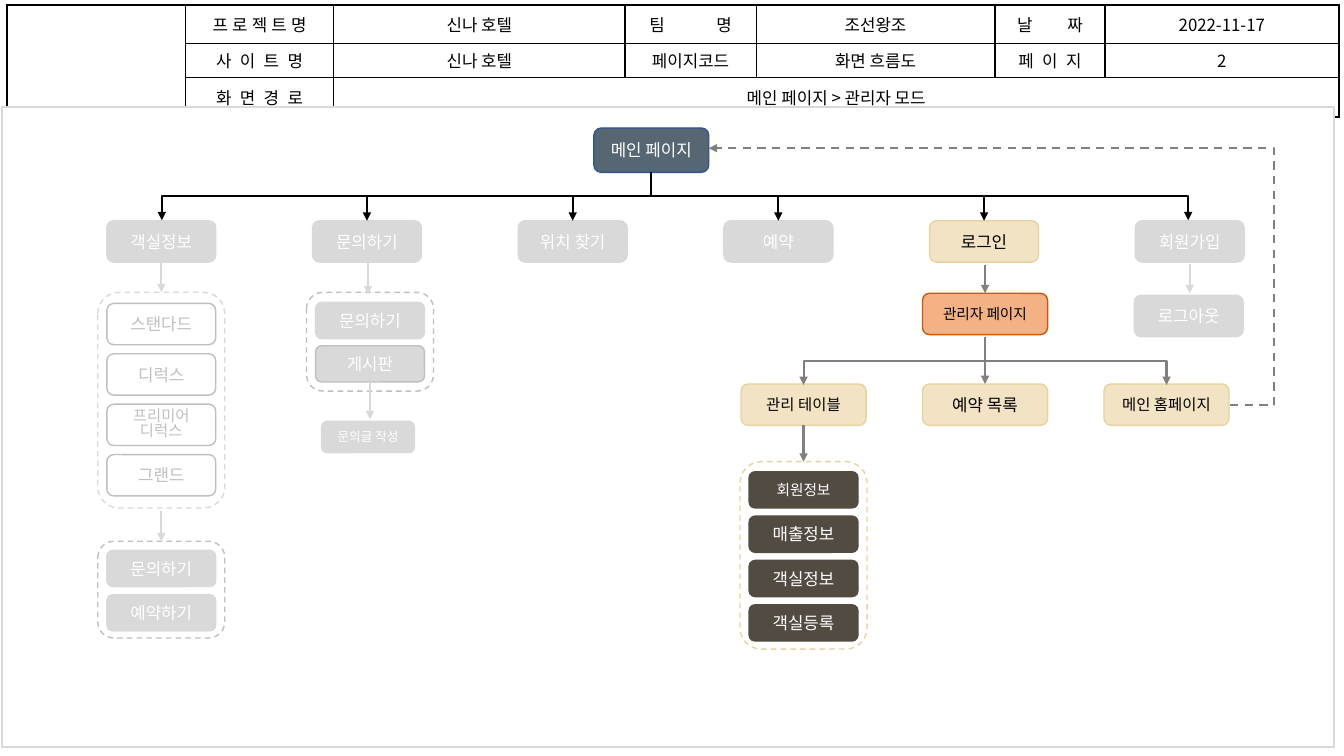
from lxml.etree import SubElement
from pptx import Presentation
from pptx.dml.color import RGBColor
from pptx.enum.dml import MSO_LINE
from pptx.enum.shapes import MSO_CONNECTOR, MSO_SHAPE
from pptx.enum.text import MSO_ANCHOR, PP_ALIGN
from pptx.oxml import parse_xml
from pptx.oxml.ns import nsdecls, qn
from pptx.util import Pt

PX = 9144  # EMU in one px, 100 px to the inch


class Theme:
    font = "Noto Sans CJK KR"
    black, white = "000000", "FFFFFF"
    pale, mid, dark = "D9D9D9", "BFBFBF", "808080"
    slate, navy = "566773", "325491"
    cream, sand = "F1E3C4", "E8D2A0"
    peach, rust = "F4B183", "C55A11"
    brown = "524B42"
    body, small, note, tiny = 12, 11, 10.5, 9
    thin, bold = 1, 1.5


# Fill, line and text colour of each kind of box
KINDS = {
    "main": (Theme.slate, Theme.navy, Theme.white),
    "off": (Theme.pale, Theme.pale, Theme.white),
    "board": (Theme.pale, Theme.mid, Theme.white),
    "room": (Theme.white, Theme.mid, Theme.mid),
    "on": (Theme.cream, Theme.sand, Theme.black),
    "admin": (Theme.peach, Theme.rust, Theme.black),
    "data": (Theme.brown, Theme.brown, Theme.white),
}
FRAME = dict(margin_left=0, margin_right=0, margin_top=0, margin_bottom=0,
             vertical_anchor=MSO_ANCHOR.MIDDLE, word_wrap=True)


def write(frame, runs, size, color):
    """Fill one centred paragraph with (text, letter spacing) runs."""
    para = frame.paragraphs[-1]
    para.alignment = PP_ALIGN.CENTER
    for text, gap in runs:
        run = para.add_run()
        run.text = text
        for key, val in dict(name=Theme.font, size=Pt(size)).items():
            setattr(run.font, key, val)
        run.font.color.rgb = RGBColor.from_string(color)
        props = run._r.get_or_add_rPr()
        if gap:
            props.set("spc", str(int(gap * 100)))
        SubElement(props, qn("a:ea"), typeface=Theme.font)


def ink(shape, color, width=Theme.thin, dash=False, head=False):
    """Set the outline, with dashes or an arrowhead when asked."""
    shape.line.color.rgb = RGBColor.from_string(color)
    shape.line.width = Pt(width)
    if dash:
        shape.line.dash_style = MSO_LINE.DASH
    if head:
        props = shape._element.spPr
        SubElement(props.find(qn("a:ln")), qn("a:tailEnd"), type="triangle")
        SubElement(props, qn("a:effectLst"))


deck = Presentation()
deck.slide_width, deck.slide_height = 1333 * PX, 750 * PX
shapes = deck.slides.add_slide(deck.slide_layouts[6]).shapes

# Header table
COLS = [177, 147, 289, 130, 237, 109, 232]
ROWS = [38, 34, 39]
HEAD = [
    ["", [("프로젝트명", 3)], "신나 호텔", [("팀", 37), ("명", -1.5)],
     "조선왕조", [("날", 25), ("짜", 0)], "2022-11-17"],
    ["", [("사이트명", 6)], "신나 호텔", "페이지코드",
     "화면 흐름도", [("페이", 6), ("지", 0)], "2"],
    ["", [("화면경로", 6)], "메인 페이지 > 관리자 모드", "", "", "", ""],
]
table = shapes.add_table(3, 7, 7 * PX, 5 * PX, sum(COLS) * PX, sum(ROWS) * PX).table
table.first_row = table.horz_banding = False
for col, width in zip(table.columns, COLS):
    col.width = width * PX
for row, height in zip(table.rows, ROWS):
    row.height = height * PX
table.cell(0, 0).merge(table.cell(2, 0))
table.cell(2, 2).merge(table.cell(2, 6))
for r, row in enumerate(HEAD):
    for c, text in enumerate(row):
        cell = table.cell(r, c)
        for key in ("margin_left", "margin_right", "margin_top", "margin_bottom",
                    "vertical_anchor"):
            setattr(cell, key, FRAME[key])
        cell.fill.background()
        if text:
            runs = [(text, 0)] if isinstance(text, str) else text
            write(cell.text_frame, runs, Theme.body, Theme.black)
        else:
            cell.text_frame.paragraphs[0].font.size = Pt(Theme.body)
        edges = dict(L=c == 0, R=c + cell.span_width == 7,
                     T=r == 0, B=r + cell.span_height == 3)
        for spot, (side, outer) in enumerate(edges.items()):
            width = Pt(Theme.bold if outer else Theme.thin)
            cell._tc.get_or_add_tcPr().insert(spot, parse_xml(
                f'<a:ln{side} {nsdecls("a")} w="{width}"><a:solidFill>'
                f'<a:srgbClr val="{Theme.black}"/></a:solidFill></a:ln{side}>'))

# White panel
panel = shapes.add_shape(MSO_SHAPE.RECTANGLE, 2 * PX, 106 * PX, 1321 * PX, 635 * PX)
panel.shadow.inherit = False
panel.fill.solid()
panel.fill.fore_color.rgb = RGBColor.from_string(Theme.white)
ink(panel, Theme.pale)

# Dashed groups
ends = {}  # (x, y) of a side's middle -> shape and site
for x, y, w, h, color in [
    (734, 458, 126, 186, Theme.sand), (97, 290, 126, 214, Theme.pale),
    (97, 537, 126, 96, Theme.mid), (304, 290, 126, 98, Theme.mid),
]:
    group = shapes.add_shape(MSO_SHAPE.ROUNDED_RECTANGLE, x * PX, y * PX, w * PX, h * PX)
    group.shadow.inherit = False
    group.fill.background()
    ink(group, color, dash=True)
    ends[x + w // 2, y] = group, 0
    ends[x + w // 2, y + h] = group, 2

# Boxes: text, left, top, width, height, kind, type size
STEP = 204
boxes = [
    ("메인 페이지", 589, 127, 114, 44, "main", Theme.body),
    ("관리자 페이지", 915, 291, 124, 41, "admin", Theme.note),
    ("로그아웃", 1125, 293, 108, 41, "off", Theme.body),
    ("문의하기", 313, 300, 108, 36, "off", Theme.body),
    ("게시판", 313, 343, 108, 36, "board", Theme.body),
    ("문의글 작성", 319, 418, 92, 31, "off", Theme.tiny),
]
menu = ["객실정보", "문의하기", "위치 찾기", "예약", "로그인", "회원가입"]
boxes += [(text, 106 + STEP * i, 219, 108, 41, "on" if text == "로그인" else "off", Theme.body)
          for i, text in enumerate(menu)]
tasks = [("관리 테이블", Theme.small), ("예약 목록", Theme.body), ("메인 홈페이지", Theme.small)]
boxes += [(text, 735 + 180 * i, 381, 124, 41, "on", size)
          for i, (text, size) in enumerate(tasks)]
data = ["회원정보", "매출정보", "객실정보", "객실등록"]
boxes += [(text, 743, 468 + 44 * i, 108, 36, "data", Theme.body if i else Theme.note)
          for i, text in enumerate(data)]
rooms = ["스탠다드", "디럭스", "프리미어\n디럭스", "그랜드"]
boxes += [(text, 106, 301 + 50 * i, 108, 41, "room", Theme.small if "\n" in text else Theme.body)
          for i, text in enumerate(rooms)]
boxes += [(text, 106, 546 + 44 * i, 108, 36, "off", Theme.body)
          for i, text in enumerate(["문의하기", "예약하기"])]

for text, x, y, w, h, kind, size in boxes:
    fill, edge, color = KINDS[kind]
    box = shapes.add_shape(MSO_SHAPE.ROUNDED_RECTANGLE, x * PX, y * PX, w * PX, h * PX)
    box.shadow.inherit = False
    box.fill.solid()
    box.fill.fore_color.rgb = RGBColor.from_string(fill)
    ink(box, edge)
    frame = box.text_frame
    for key, val in FRAME.items():
        setattr(frame, key, val)
    for i, part in enumerate(text.split("\n")):
        if i:
            frame.add_paragraph()
        write(frame, [(part, 0)], size, color)
    if "\n" in text:
        for para in frame.paragraphs:
            para.line_spacing = 0.8
    ends[x + w // 2, y] = box, 0
    ends[x + w // 2, y + h] = box, 2

# Straight arrows: x, top, bottom, colour
arrows = [(160 + STEP * i, 195, 219, Theme.black) for i in range(1, 5)]
arrows += [
    (977, 263, 291, Theme.dark), (977, 334, 381, Theme.dark),
    (797, 422, 458, Theme.dark), (1180, 262, 291, Theme.pale),
    (160, 260, 290, Theme.pale), (160, 507, 537, Theme.pale),
    (365, 261, 292, Theme.pale), (367, 379, 416, Theme.pale),
]
for x, top, low, color in arrows:
    arrow = shapes.add_connector(MSO_CONNECTOR.STRAIGHT, x * PX, top * PX, x * PX, low * PX)
    ink(arrow, color, Theme.bold, head=True)
    if (x, top) in ends:
        arrow.begin_connect(*ends[x, top])
    if (x, low) in ends:
        arrow.end_connect(*ends[x, low])

# Bent arrows: left, top, width, height, turn, flips, bend, colour, dashed
for x, y, w, h, turn, flips, bend, color, dash in [
    (379, -48, 48, 485, 90, "", 0.5, Theme.black, False),
    (888, -72, 48, 533, 270, "H", 0.5, Theme.black, False),
    (977, 358, 180, 24, 0, "", None, Theme.dark, False),
    (797, 358, 180, 24, 180, "V", None, Theme.dark, False),
    (703, 147, 517, 255, 0, "HV", -0.085, Theme.dark, True),
]:
    bent = shapes.add_connector(MSO_CONNECTOR.ELBOW, 0, 0, 0, 0)
    for key, val in dict(left=x, top=y, width=w, height=h).items():
        setattr(bent, key, val * PX)
    xfrm = bent._element.spPr.find(qn("a:xfrm"))
    xfrm.set("rot", str(turn * 60000))
    for flip in flips:
        xfrm.set("flip" + flip, "1")
    geom = bent._element.spPr.find(qn("a:prstGeom"))
    if bend is None:
        geom.set("prst", "bentConnector2")
    else:
        SubElement(geom.find(qn("a:avLst")), qn("a:gd"),
                   name="adj1", fmla=f"val {round(bend * 100000)}")
    ink(bent, color, Theme.bold, dash, head=True)

deck.save("out.pptx")
